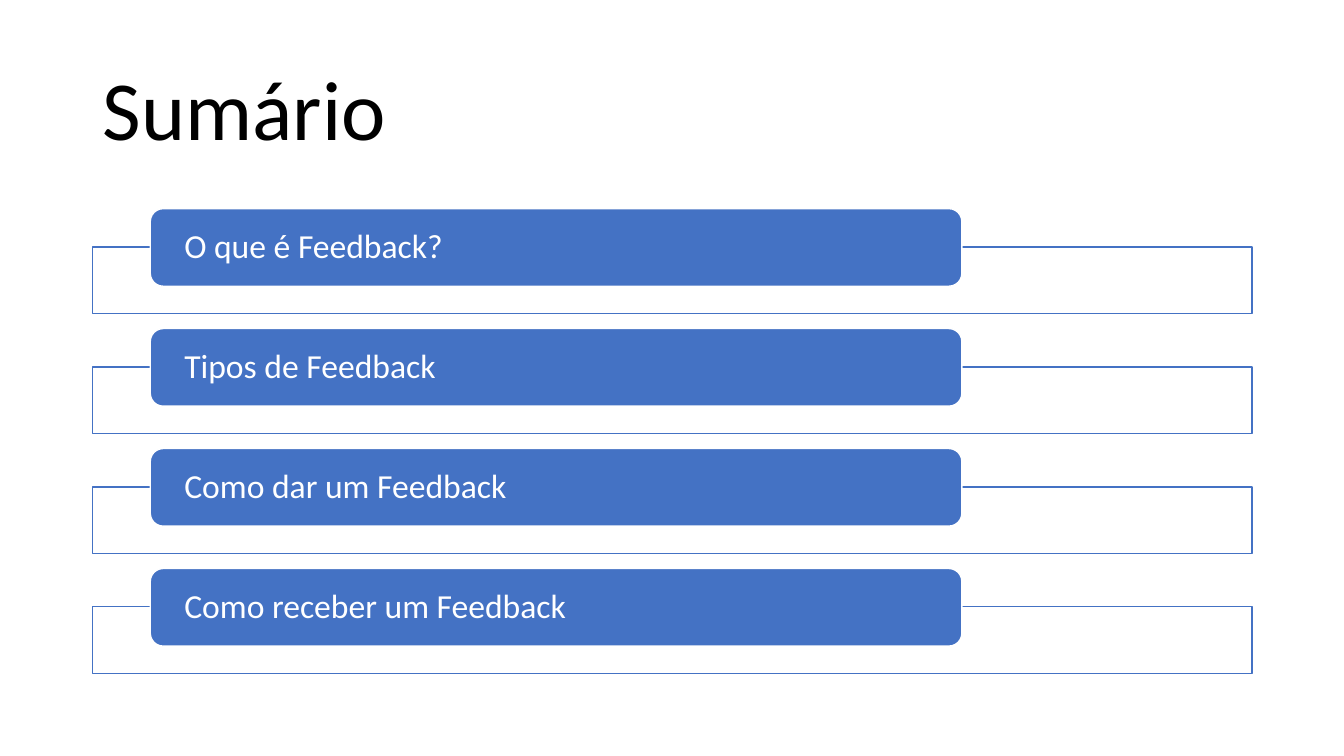
from lxml import etree
from pptx import Presentation
from pptx.dml.color import RGBColor
from pptx.enum import shapes, text
from pptx.oxml import ns
from pptx.util import Inches, Pt

TOPICS = [
    "O que é Feedback?",
    "Tipos de Feedback",
    "Como dar um Feedback",
    "Como receber um Feedback",
]
FIRST_TOP = 2.07
ROW_PITCH = 1.19
FRAME_OFFSET = 0.38


def color(hex_value):
    return RGBColor.from_string(hex_value)


def write(shape, content, *, size, fill, font, inset=0.1):
    """Put one left-aligned, vertically centred paragraph in a shape."""
    frame = shape.text_frame
    frame.word_wrap = True
    frame.auto_size = text.MSO_AUTO_SIZE.NONE
    frame.vertical_anchor = text.MSO_ANCHOR.MIDDLE
    frame.margin_left = frame.margin_right = Inches(inset)
    frame.margin_top = frame.margin_bottom = 0
    paragraph = frame.paragraphs[0]
    paragraph.alignment = text.PP_ALIGN.LEFT
    paragraph.line_spacing = 0.9
    run = paragraph.add_run()
    run.text = content
    run.font.name = font
    run.font.size = Pt(size)
    run.font.color.rgb = color(fill)


class SlideBuilder:
    font = "Calibri"
    accent = "4472C4"
    light = "FFFFFF"
    dark = "000000"

    def __init__(self, presentation):
        self.slide = presentation.slides.add_slide(presentation.slide_layouts[5])

    def title(self, content):
        title = self.slide.shapes.title
        title.left, title.top = Inches(0.92), Inches(0.4)
        title.width, title.height = Inches(11.5), Inches(1.45)
        write(title, content, size=60, fill=self.dark, font=self.font)

    def box(self, kind, left, top, width, height, fill, line):
        shape = self.slide.shapes.add_shape(
            kind, Inches(left), Inches(top), Inches(width), Inches(height))
        shape.shadow.inherit = False
        shape.fill.solid()
        shape.fill.fore_color.rgb = color(fill)
        shape.line.color.rgb = color(line)
        shape.line.width = Pt(1)
        return shape

    def frame(self, top):
        """Draw the outlined, slightly transparent box behind a topic."""
        shape = self.box(shapes.MSO_SHAPE.RECTANGLE, 0.92, top, 11.5, 0.66,
                         self.light, self.accent)
        fill = shape._element.spPr.find(ns.qn("a:solidFill"))
        etree.SubElement(fill[0], ns.qn("a:alpha"), val="90000")

    def topic(self, content, top):
        self.frame(top + FRAME_OFFSET)
        label = self.box(shapes.MSO_SHAPE.ROUNDED_RECTANGLE, 1.49, top, 8.05, 0.77,
                         self.accent, self.light)
        write(label, content, size=24, fill=self.light, font=self.font, inset=0.3)


def main():
    presentation = Presentation()
    presentation.slide_width = Inches(13.33)
    presentation.slide_height = Inches(7.5)
    builder = SlideBuilder(presentation)
    builder.title("Sumário")
    for row, topic in enumerate(TOPICS):
        builder.topic(topic, FIRST_TOP + row * ROW_PITCH)
    presentation.save("out.pptx")


if __name__ == "__main__":
    main()
